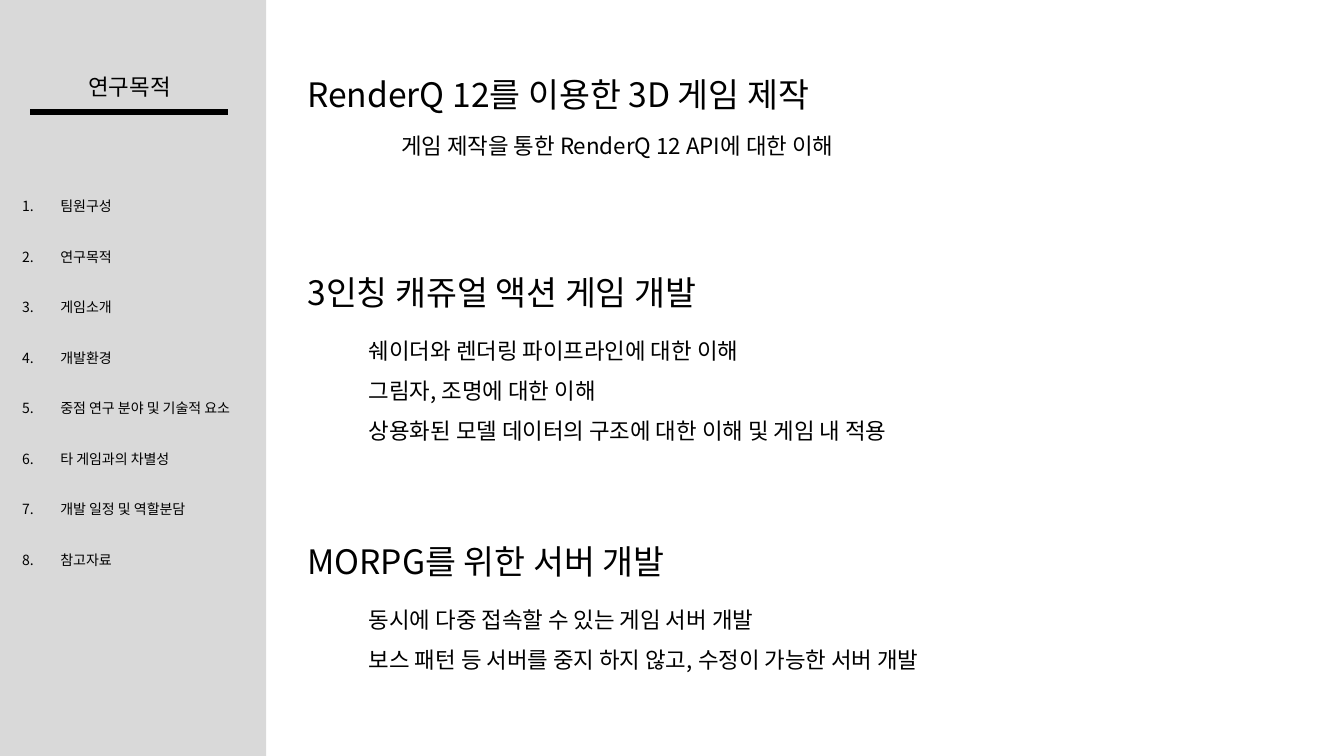
from dataclasses import dataclass

from lxml.etree import SubElement
from pptx import Presentation
from pptx.dml.color import RGBColor
from pptx.enum.shapes import MSO_CONNECTOR as Connector, MSO_SHAPE as Shape
from pptx.enum.text import MSO_AUTO_SIZE as AutoSize, PP_ALIGN as Align
from pptx.oxml.ns import qn
from pptx.util import Inches, Pt


@dataclass(frozen=True)
class Theme:
    font: str = "Noto Sans CJK KR"
    ink: RGBColor = RGBColor(0x00, 0x00, 0x00)
    panel: RGBColor = RGBColor(0xD9, 0xD9, 0xD9)
    heading: int = 24
    body: int = 16
    menu: int = 10
    rule: float = 4.5


THEME = Theme()

MENU = [
    "팀원구성",
    "연구목적",
    "게임소개",
    "개발환경",
    "중점 연구 분야 및 기술적 요소",
    "타 게임과의 차별성",
    "개발 일정 및 역할분담",
    "참고자료",
]

GOALS = [
    (0.68, "RenderQ 12를 이용한 3D 게임 제작",
     ["게임 제작을 통한 RenderQ 12 API에 대한 이해"],
     dict(indent=0.93, drop=0.58, height=0.37, spacing=None)),
    (2.65, "3인칭 캐쥬얼 액션 게임 개발",
     ["쉐이더와 렌더링 파이프라인에 대한 이해",
      "그림자, 조명에 대한 이해",
      "상용화된 모델 데이터의 구조에 대한 이해 및 게임 내 적용"],
     dict(height=1.27)),
    (5.32, "MORPG를 위한 서버 개발",
     ["동시에 다중 접속할 수 있는 게임 서버 개발",
      "보스 패턴 등 서버를 중지 하지 않고, 수정이 가능한 서버 개발"],
     dict(height=0.86)),
]


def number_paragraph(para, hanging):
    properties = para._p.get_or_add_pPr()
    properties.set("marL", str(Inches(hanging)))
    properties.set("indent", str(-Inches(hanging)))
    SubElement(properties, qn("a:buFont"), typeface="+mj-lt")
    SubElement(properties, qn("a:buAutoNum"), type="arabicPeriod")


def add_text(page, lines, left, top, width, height, *, size,
             align=Align.LEFT, spacing=None, hanging=None):
    box = page.shapes.add_textbox(
        Inches(left), Inches(top), Inches(width), Inches(height))
    frame = box.text_frame
    frame.word_wrap = True
    frame.auto_size = AutoSize.SHAPE_TO_FIT_TEXT
    for index, line in enumerate(lines):
        para = frame.add_paragraph() if index else frame.paragraphs[0]
        if hanging:
            number_paragraph(para, hanging)
        para.alignment = align
        para.line_spacing = spacing
        span = para.add_run()
        span.text = line
        span.font.size = Pt(size)
        span.font.color.rgb = THEME.ink
        span.font.name = THEME.font
        SubElement(span.font._element, qn("a:ea"), typeface=THEME.font)


def add_sidebar(page, left, top, width, height):
    panel = page.shapes.add_shape(
        Shape.RECTANGLE, Inches(left), Inches(top), Inches(width), Inches(height))
    panel.shadow.inherit = False
    panel.fill.solid()
    panel.fill.fore_color.rgb = THEME.panel
    panel.line.fill.background()

    rule_top = Inches(top + 1.11)
    rule = page.shapes.add_connector(
        Connector.STRAIGHT, Inches(left + 0.3), rule_top, Inches(left + 2.26), rule_top)
    rule.line.color.rgb = THEME.ink
    rule.line.width = Pt(THEME.rule)
    SubElement(rule._element.spPr, qn("a:effectLst"))

    add_text(page, ["연구목적"], left + 0.08, top + 0.68, 2.41, 0.37,
             size=THEME.body, align=Align.CENTER)
    add_text(page, MENU, left + 0.12, top + 1.58, 2.41, 4.05,
             size=THEME.menu, spacing=3.0, hanging=0.38)


def add_goal(page, left, top, width, heading, details, *, height,
             indent=0.61, drop=0.51, spacing=1.5):
    add_text(page, [heading], left, top, width, 0.5, size=THEME.heading)
    add_text(page, details, left + indent, top + drop, width, height,
             size=THEME.body, spacing=spacing)


def main():
    deck = Presentation()
    deck.slide_width = Inches(13.33)
    deck.slide_height = Inches(7.5)
    page = deck.slides.add_slide(deck.slide_layouts[6])
    add_sidebar(page, 0, 0, 2.64, 7.5)
    for top, heading, details, layout in GOALS:
        add_goal(page, 2.95, top, 9.58, heading, details, **layout)
    deck.save("out.pptx")


if __name__ == "__main__":
    main()
